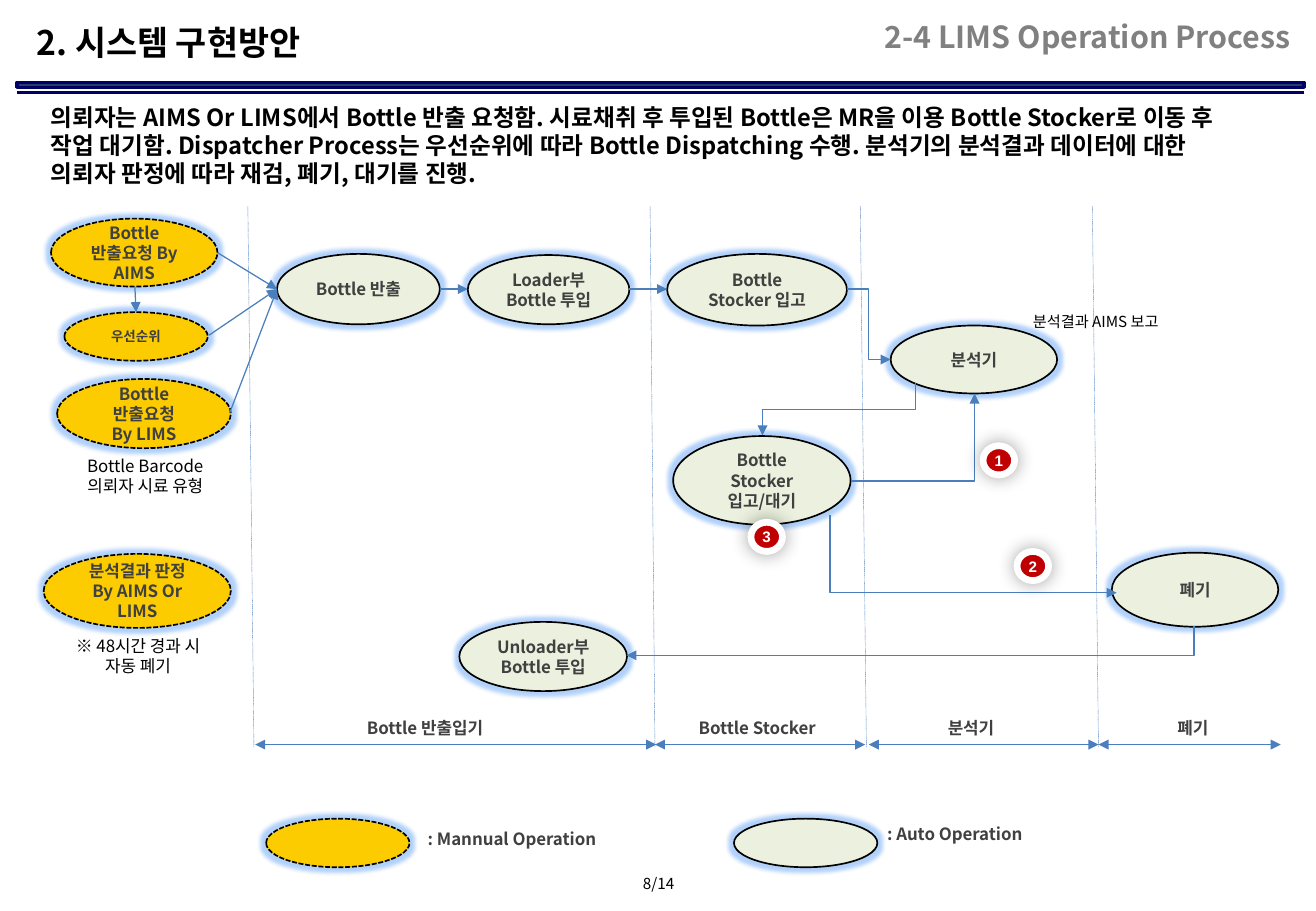
from lxml import etree
from pptx import Presentation
from pptx.dml.color import RGBColor
from pptx.enum import dml, shapes, text
from pptx.oxml import parse_xml
from pptx.oxml.ns import nsdecls, qn
from pptx.util import Inches, Pt

FONT = "Noto Sans CJK KR"
BLACK = RGBColor(0x00, 0x00, 0x00)
WHITE = RGBColor(0xFF, 0xFF, 0xFF)
DARK = RGBColor(0x40, 0x40, 0x40)
GRAY = RGBColor(0x80, 0x80, 0x80)
NAVY = RGBColor(0x00, 0x00, 0x66)
BAR = RGBColor(0x25, 0x40, 0x61)
BLUE = RGBColor(0x4B, 0x7E, 0xBC)
MANUAL = RGBColor(0xFC, 0xCC, 0x00)
AUTO = RGBColor(0xEB, 0xF1, 0xDE)
RED = RGBColor(0xC0, 0x00, 0x00)

LEFT, CENTER, RIGHT = text.PP_ALIGN.LEFT, text.PP_ALIGN.CENTER, text.PP_ALIGN.RIGHT
TOP, MIDDLE = text.MSO_ANCHOR.TOP, text.MSO_ANCHOR.MIDDLE

GLOW = ('<a:glow rad="63500"><a:srgbClr val="3C8CF5">'
        '<a:alpha val="40000"/></a:srgbClr></a:glow>')
SHADOW = ('<a:outerShdw blurRad="139700" dist="0" dir="0"><a:srgbClr val="000000">'
          '<a:alpha val="36000"/></a:srgbClr></a:outerShdw>')

INTRO = ("의뢰자는 AIMS Or LIMS에서 Bottle 반출 요청함. 시료채취 후 투입된 Bottle은 MR을 이용 "
         "Bottle Stocker로 이동 후 작업 대기함. Dispatcher Process는 우선순위에 따라 "
         "Bottle Dispatching 수행. 분석기의 분석결과 데이터에 대한 의뢰자 판정에 따라 "
         "재검, 폐기, 대기를 진행.")

MANUAL_STEPS = [
    (0.42, 1.8, 1.37, 0.56, "Bottle\n반출요청 By AIMS", 10),
    (0.53, 2.57, 1.18, 0.4, "우선순위", 8),
    (0.47, 3.12, 1.43, 0.57, "Bottle\n반출요청\nBy LIMS", 10),
    (0.36, 4.56, 1.54, 0.61, "분석결과 판정\nBy AIMS Or LIMS", 10),
    (2.19, 6.74, 1.18, 0.4, "", 10),
]
AUTO_STEPS = [
    (2.28, 2.09, 1.34, 0.58, "Bottle 반출"),
    (3.85, 2.1, 1.33, 0.57, "Loader부 Bottle 투입"),
    (5.49, 2.09, 1.48, 0.59, "Bottle Stocker 입고"),
    (7.33, 2.68, 1.37, 0.56, "분석기"),
    (5.54, 3.59, 1.46, 0.73, "Bottle Stocker 입고/대기"),
    (9.15, 4.55, 1.37, 0.61, "폐기"),
    (3.78, 5.12, 1.38, 0.57, "Unloader부 Bottle 투입"),
    (6.04, 6.74, 1.18, 0.4, ""),
]
ARROWS = [
    (1.79, 2.08, 2.28, 2.38), (1.72, 2.76, 2.28, 2.38), (1.89, 3.4, 2.28, 2.38),
    (1.11, 2.36, 1.12, 2.57), (3.62, 2.38, 3.85, 2.38), (5.18, 2.38, 5.49, 2.38),
]
# Frame corners before rotation, preset, rotation in degrees
ELBOWS = [
    (6.97, 2.38, 7.33, 2.96, "bentConnector3", 0),
    (6.69, 2.74, 7.12, 4.0, "bentConnector3", 90),
    (7.0, 3.96, 8.02, 3.24, "bentConnector2", 0),
    (8.33, 3.38, 7.69, 5.74, "bentConnector2", 270),
    (7.37, 2.94, 7.61, 7.61, "bentConnector2", 90),
]
DIVIDERS = [(2.04, 2.09), (5.35, 5.39), (7.08, 7.13), (8.99, 9.04)]
SECTIONS = [
    (2.1, 5.4, 3.02, "Bottle 반출입기"), (5.39, 7.12, 5.75, "Bottle Stocker"),
    (7.15, 9.04, 7.8, "분석기"), (9.04, 10.54, 9.69, "폐기"),
]
BADGES = [(8.09, 3.67, "1"), (8.37, 4.54, "2"), (6.18, 4.3, "3")]


def write(sp, content, size, color, bold=False, align=LEFT, anchor=TOP,
          font=FONT, inset=(0, 0), spacing=None):
    tf = sp.text_frame
    tf.text = content
    tf.word_wrap = True
    tf.vertical_anchor = anchor
    tf.margin_left = tf.margin_right = Inches(inset[0])
    tf.margin_top = tf.margin_bottom = Inches(inset[1])
    for p in tf.paragraphs:
        p.alignment = align
        if spacing:
            p.line_spacing = spacing
        for r in p.runs:
            r.font.size, r.font.bold, r.font.name = Pt(size), bold, font
            r.font.color.rgb = color
            ea = etree.SubElement(r.font._element, qn("a:ea"))
            ea.set("typeface", font)


def label(s, x, y, w, h, content, size, color, **style):
    write(s.shapes.add_textbox(Inches(x), Inches(y), Inches(w), Inches(h)),
          content, size, color, **style)


def add_effect(sp, effect=""):
    sp._element.spPr.append(
        parse_xml(f'<a:effectLst {nsdecls("a")}>{effect}</a:effectLst>'))


def shape(s, kind, x, y, w, h, fill=None, line=None, width=1, effect=""):
    sp = s.shapes.add_shape(kind, Inches(x), Inches(y), Inches(w), Inches(h))
    if fill is None:
        sp.fill.background()
        sp.line.fill.background()
    else:
        sp.fill.solid()
        sp.fill.fore_color.rgb = fill
        sp.line.color.rgb = line
        sp.line.width = Pt(width)
    add_effect(sp, effect)
    return sp


def step(s, x, y, w, h, content, fill, size=10):
    """Process ellipse; manual steps have a dashed outline."""
    sp = shape(s, shapes.MSO_SHAPE.OVAL, x, y, w, h, fill, BLACK, effect=GLOW)
    if fill == MANUAL:
        sp.line.dash_style = dml.MSO_LINE.SQUARE_DOT
    if content:
        write(sp, content, size, DARK, True, CENTER, MIDDLE, inset=(0.1, 0.05))


def badge(s, x, y, number):
    sp = shape(s, shapes.MSO_SHAPE.OVAL, x, y, 0.26, 0.24, RED, WHITE, 4, SHADOW)
    write(sp, number, 9, WHITE, True, CENTER, MIDDLE, "Arial")


def line(s, x1, y1, x2, y2, color=BLUE, width=0.75, ends=(), preset="line", rotation=0):
    """Connector; ends lists the arrowheads, headEnd before tailEnd."""
    kind = shapes.MSO_CONNECTOR.STRAIGHT if preset == "line" else shapes.MSO_CONNECTOR.ELBOW
    cx = s.shapes.add_connector(kind, Inches(x1), Inches(y1), Inches(x2), Inches(y2))
    cx.line.color.rgb = color
    cx.line.width = Pt(width)
    spPr = cx._element.spPr
    spPr.find(qn("a:prstGeom")).set("prst", preset)
    if rotation:
        spPr.find(qn("a:xfrm")).set("rot", str(rotation * 60000))
    for end in ends:
        etree.SubElement(cx.line._get_or_add_ln(), qn(f"a:{end}")).set("type", "triangle")
    add_effect(cx)
    return cx


def header(s):
    shape(s, shapes.MSO_SHAPE.RECTANGLE, 0.14, 0.68, 10.59, 0.04, BAR, NAVY, 2)
    line(s, 0.14, 0.76, 10.73, 0.76, NAVY, 1.5)
    label(s, 0.3, 0.22, 6, 0.54, "2. 시스템 구현방안", 20, BLACK, bold=True, spacing=0.9)
    label(s, 6.52, 0.05, 4.1, 0.54, "2-4 LIMS Operation Process", 18, GRAY,
          bold=True, align=RIGHT, anchor=MIDDLE, spacing=0.9)
    intro = shape(s, shapes.MSO_SHAPE.ROUNDED_RECTANGLE, 0.3, 0.84, 10.16, 0.71)
    intro.adjustments[0] = 0.09
    write(intro, INTRO, 14, BLACK, True, anchor=MIDDLE, inset=(0.1, 0.05))


def sections(s):
    for top_x, bottom_x in DIVIDERS:
        divider = line(s, top_x, 1.7, bottom_x, 6.15, width=0.25)
        divider.line.dash_style = dml.MSO_LINE.ROUND_DOT
    for x1, x2, label_x, name in SECTIONS:
        line(s, x1, 6.13, x2, 6.13, ends=("headEnd", "tailEnd"))
        label(s, label_x, 5.91, 1, 0.19, name, 10, DARK, bold=True)


def process(s):
    for x, y, w, h, content, size in MANUAL_STEPS:
        step(s, x, y, w, h, content, MANUAL, size)
    for x, y, w, h, content in AUTO_STEPS:
        step(s, x, y, w, h, content, AUTO)
    for ends in ARROWS:
        line(s, *ends, ends=("tailEnd",))
    for *corners, preset, rotation in ELBOWS:
        line(s, *corners, ends=("tailEnd",), preset=preset, rotation=rotation)
    for x, y, number in BADGES:
        badge(s, x, y, number)


def notes(s):
    label(s, 0.59, 3.75, 1.21, 0.45, "Bottle Barcode\n의뢰자 시료 유형", 10, BLACK, align=CENTER)
    label(s, 0.53, 5.23, 1.21, 0.45, "※ 48시간 경과 시\n자동 폐기", 10, BLACK, align=CENTER)
    label(s, 8.5, 2.57, 1.49, 0.4, "분석결과 AIMS 보고", 9, BLACK)
    label(s, 3.52, 6.82, 1.43, 0.33, ": Mannual Operation", 10, DARK, bold=True)
    label(s, 7.3, 6.78, 1.74, 0.28, ": Auto Operation", 10, DARK, bold=True)
    label(s, 4.87, 7.15, 1.1, 0.25, "8/14", 9, BLACK, align=CENTER, anchor=MIDDLE)


def main():
    prs = Presentation()
    prs.slide_width, prs.slide_height = Inches(10.83), Inches(7.5)
    s = prs.slides.add_slide(prs.slide_layouts[6])
    header(s)
    sections(s)
    process(s)
    notes(s)
    prs.save("out.pptx")


if __name__ == "__main__":
    main()
